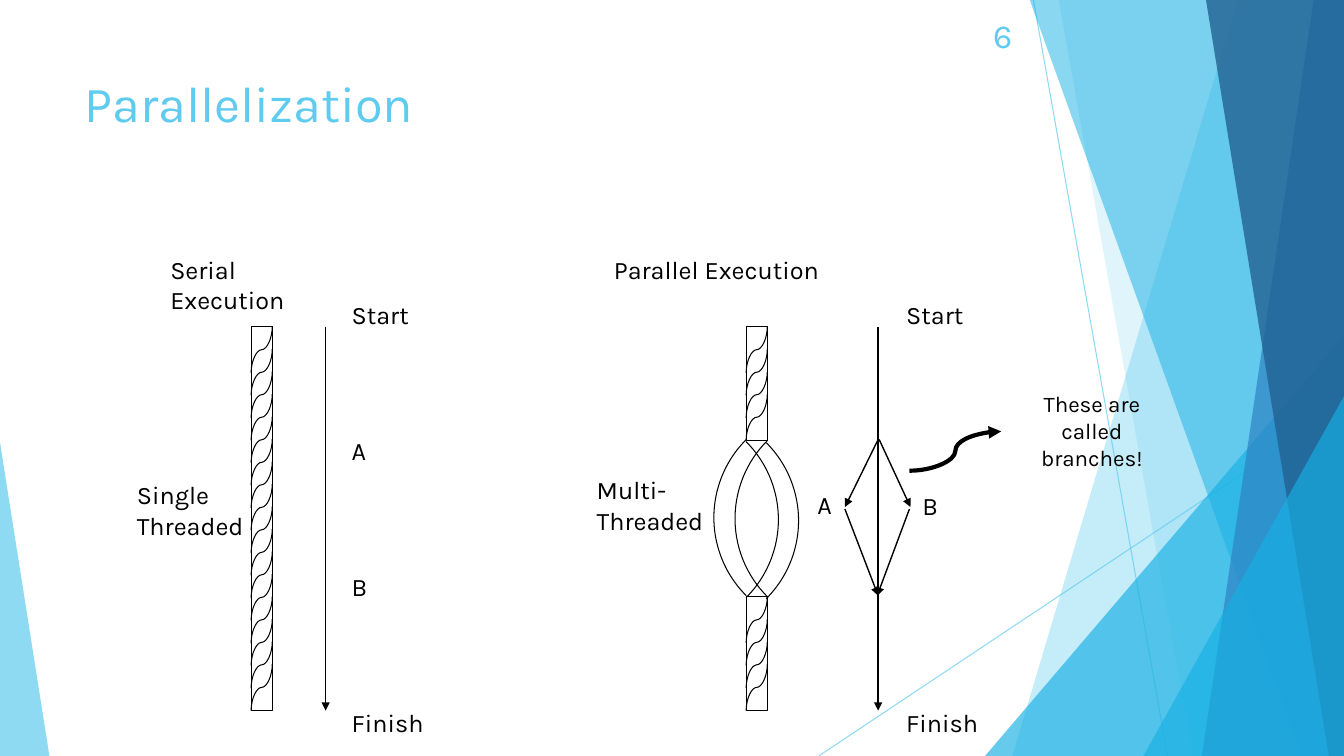
from dataclasses import dataclass

from lxml import etree
from pptx import Presentation
from pptx.dml.color import RGBColor
from pptx.enum.shapes import MSO_CONNECTOR, MSO_SHAPE
from pptx.enum.text import MSO_ANCHOR, MSO_AUTO_SIZE, PP_ALIGN
from pptx.oxml.ns import qn
from pptx.util import Inches, Pt

STRAIGHT, CURVE = MSO_CONNECTOR.STRAIGHT, MSO_CONNECTOR.CURVE
RECTANGLE, ARC = MSO_SHAPE.RECTANGLE, MSO_SHAPE.ARC
TRIANGLE = MSO_SHAPE.ISOSCELES_TRIANGLE
LEFT, CENTER, RIGHT = PP_ALIGN.LEFT, PP_ALIGN.CENTER, PP_ALIGN.RIGHT
TOP, MIDDLE = MSO_ANCHOR.TOP, MSO_ANCHOR.MIDDLE


@dataclass(frozen=True)
class Theme:
    font: str = "Karla"
    ink: str = "000000"
    paper: str = "FFFFFF"
    sky: str = "5FCBEF"
    cyan: str = "17B0E4"
    blue: str = "2E83C3"
    navy: str = "226292"
    title_size: int = 36
    number_size: int = 24
    label_size: int = 18
    note_size: int = 16
    outline: float = 0.75
    arrow: float = 1
    pointer: float = 3


THEME = Theme()
SLIDE_WIDTH, SLIDE_HEIGHT = 13.33, 7.5
ROPE_TOP, ROPE_WIDTH = 3.24, 0.21
ROPE_BOTTOM = 7.05
SEGMENT_HEIGHT = 1.13
TWIST_HEIGHT = 0.46


def set_alpha(shape, percent):
    """Make every colour of a shape's fill or line partly transparent."""
    for color in shape.element.spPr.iter(qn("a:srgbClr")):
        etree.SubElement(color, qn("a:alpha"), val=str(percent * 1000))


def write_text(shape, text, size=THEME.label_size, color=THEME.ink,
               align=LEFT, anchor=TOP, auto_size=MSO_AUTO_SIZE.NONE):
    frame = shape.text_frame
    frame.text = text
    frame.word_wrap = True
    frame.auto_size = auto_size
    frame.vertical_anchor = anchor
    paragraph = frame.paragraphs[0]
    paragraph.alignment = align
    font = paragraph.runs[0].font
    font.name, font.size = THEME.font, Pt(size)
    font.color.rgb = RGBColor.from_string(color)


def add_label(slide, text, left, top, width, height=0.4, **text_format):
    box = slide.shapes.add_textbox(Inches(left), Inches(top),
                                   Inches(width), Inches(height))
    write_text(box, text, **text_format)


def paint(shape, fill=None, line=None, alpha=None):
    shape.shadow.inherit = False
    if fill:
        shape.fill.solid()
        shape.fill.fore_color.rgb = RGBColor.from_string(fill)
    else:
        shape.fill.background()
    if line:
        shape.line.color.rgb = RGBColor.from_string(line)
        shape.line.width = Pt(THEME.outline)
    else:
        shape.line.fill.background()
    if alpha:
        set_alpha(shape, alpha)


def add_figure(slide, kind, left, top, width, height, **look):
    shape = slide.shapes.add_shape(kind, Inches(left), Inches(top),
                                   Inches(width), Inches(height))
    paint(shape, **look)
    return shape


def add_line(slide, start, end, kind=STRAIGHT, color=THEME.ink,
             width=THEME.outline, alpha=None, arrow=False):
    x1, y1, x2, y2 = (Inches(value) for value in (*start, *end))
    connector = slide.shapes.add_connector(kind, x1, y1, x2, y2)
    connector.line.color.rgb = RGBColor.from_string(color)
    connector.line.width = Pt(width)
    if arrow:
        etree.SubElement(connector.line._get_or_add_ln(), qn("a:tailEnd"), type="triangle")
    etree.SubElement(connector.element.spPr, qn("a:effectLst"))
    if alpha:
        set_alpha(connector, alpha)
    return connector


def add_band(slide, top_x, bottom_x, color, alpha):
    """Slanted band that reaches the right edge of the slide."""
    points = [(Inches(x), Inches(y)) for x, y in (
        (top_x, -0.01), (SLIDE_WIDTH, -0.01),
        (SLIDE_WIDTH, SLIDE_HEIGHT), (bottom_x, SLIDE_HEIGHT))]
    builder = slide.shapes.build_freeform(*points[0], scale=1.0)
    builder.add_line_segments(points[1:], close=True)
    paint(builder.convert_to_shape(), fill=color, alpha=alpha)


def add_corner(slide, left, top, width, peak, color, alpha):
    triangle = add_figure(slide, TRIANGLE, left, top, width,
                          SLIDE_HEIGHT - top, fill=color, alpha=alpha)
    triangle.adjustments[0] = peak


def add_backdrop(slide):
    for start, end in (((10.25, 0), (11.58, 7.5)), ((13.33, 4.03), (8.12, 7.5))):
        add_line(slide, start, end, color=THEME.sky, alpha=70)
    add_band(slide, 12.28, 10.04, THEME.sky, 36)
    add_band(slide, 10.5, 11.83, THEME.sky, 20)
    add_corner(slide, 9.77, 3.33, 3.56, 1, THEME.cyan, 66)
    add_band(slide, 10.21, 12.91, THEME.cyan, 50)
    add_band(slide, 13.03, 11.92, THEME.blue, 70)
    add_band(slide, 11.96, 13.18, THEME.navy, 80)
    add_corner(slide, 11.34, 3.93, 1.99, 1, THEME.cyan, 66)
    add_corner(slide, 0, 4.39, 0.49, 0, THEME.sky, 70)


def add_rope(slide, left, top, height, twists):
    add_figure(slide, RECTANGLE, left, top, ROPE_WIDTH, height,
               fill=THEME.paper, line=THEME.ink)
    step = (height - TWIST_HEIGHT) / (twists - 1)
    center_x = left + ROPE_WIDTH / 2
    for index in range(twists):
        center_y = top + index * step + TWIST_HEIGHT / 2
        # Each twist lies on its side, then turns a quarter about its centre
        half_width, half_height = TWIST_HEIGHT / 2, ROPE_WIDTH / 2
        twist = add_line(slide, (center_x + half_width, center_y + half_height),
                         (center_x - half_width, center_y - half_height), kind=CURVE)
        twist.element.spPr.find(qn("a:xfrm")).set("rot", str(90 * 60000))


def add_serial_side(slide):
    add_rope(slide, 2.49, ROPE_TOP, ROPE_BOTTOM - ROPE_TOP, 16)
    add_line(slide, (3.23, ROPE_TOP), (3.23, ROPE_BOTTOM), width=THEME.arrow, arrow=True)
    add_label(slide, "Serial Execution", 1.59, 2.47, 2.01)
    add_label(slide, "Single Threaded", 1.26, 4.71, 1.53, 0.71)
    for text, top in (("A", 4.27), ("B", 5.62)):
        add_label(slide, text, 3.39, top, 0.37)


def add_parallel_side(slide):
    for top in (ROPE_TOP, ROPE_BOTTOM - SEGMENT_HEIGHT):
        add_rope(slide, 7.4, top, SEGMENT_HEIGHT, 4)
    # Two strands bulge to each side between the rope segments
    for left, top, rotation in ((7.08, 4.04, 225), (7.29, 4.05, 225),
                                (5.73, 4.07, 45), (5.53, 4.06, 45)):
        strand = add_figure(slide, ARC, left, top, 2.19, 2.19, line=THEME.ink)
        strand.rotation = rotation
    # Timeline and its two branches
    for start, end in (((8.71, ROPE_TOP), (8.71, ROPE_BOTTOM)),
                       ((8.38, 5.05), (8.71, 5.91)), ((9.02, 5.05), (8.7, 5.91)),
                       ((8.71, 4.36), (8.38, 5.03)), ((8.72, 4.36), (9.03, 5.03))):
        add_line(slide, start, end, width=THEME.arrow, arrow=True)
    add_label(slide, "Parallel Execution", 5.99, 2.47, 3.03)
    add_label(slide, "Multi- Threaded", 5.82, 4.66, 1.53, 0.71)
    add_label(slide, "A", 8.01, 4.81, 0.37)
    add_label(slide, "B", 9.05, 4.82, 0.37)
    # Pointer to the note
    add_line(slide, (9.02, 4.67), (9.93, 4.28), kind=CURVE,
             width=THEME.pointer, arrow=True)
    add_label(slide, "These are called branches!", 9.93, 3.82, 1.8, 0.91,
              size=THEME.note_size, align=CENTER)


def main():
    presentation = Presentation()
    presentation.slide_width = Inches(SLIDE_WIDTH)
    presentation.slide_height = Inches(SLIDE_HEIGHT)
    slide = presentation.slides.add_slide(presentation.slide_layouts[5])

    add_backdrop(slide)

    # Title and slide number
    title = slide.shapes.title
    title.left, title.top = Inches(0.74), Inches(0.67)
    title.width, title.height = Inches(9.4), Inches(1.44)
    write_text(title, "Parallelization", size=THEME.title_size, color=THEME.sky)
    add_label(slide, "6", 9.39, 0.15, 0.75, size=THEME.number_size,
              color=THEME.sky, align=RIGHT, anchor=MIDDLE)

    # Diagrams
    add_serial_side(slide)
    add_parallel_side(slide)
    for left in (3.39, 8.89):
        add_label(slide, "Start", left, 2.92, 1.53)
        add_label(slide, "Finish", left, 6.97, 1.53)

    presentation.save("out.pptx")


if __name__ == "__main__":
    main()
